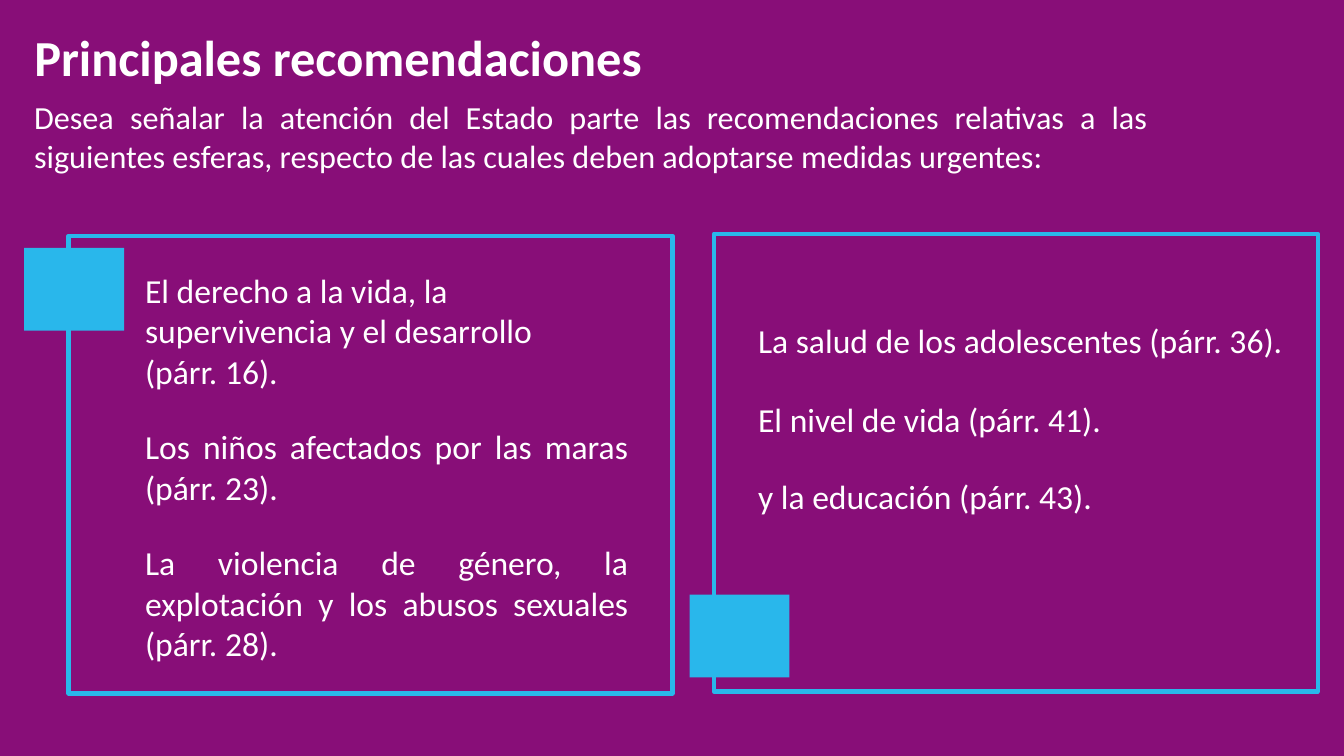
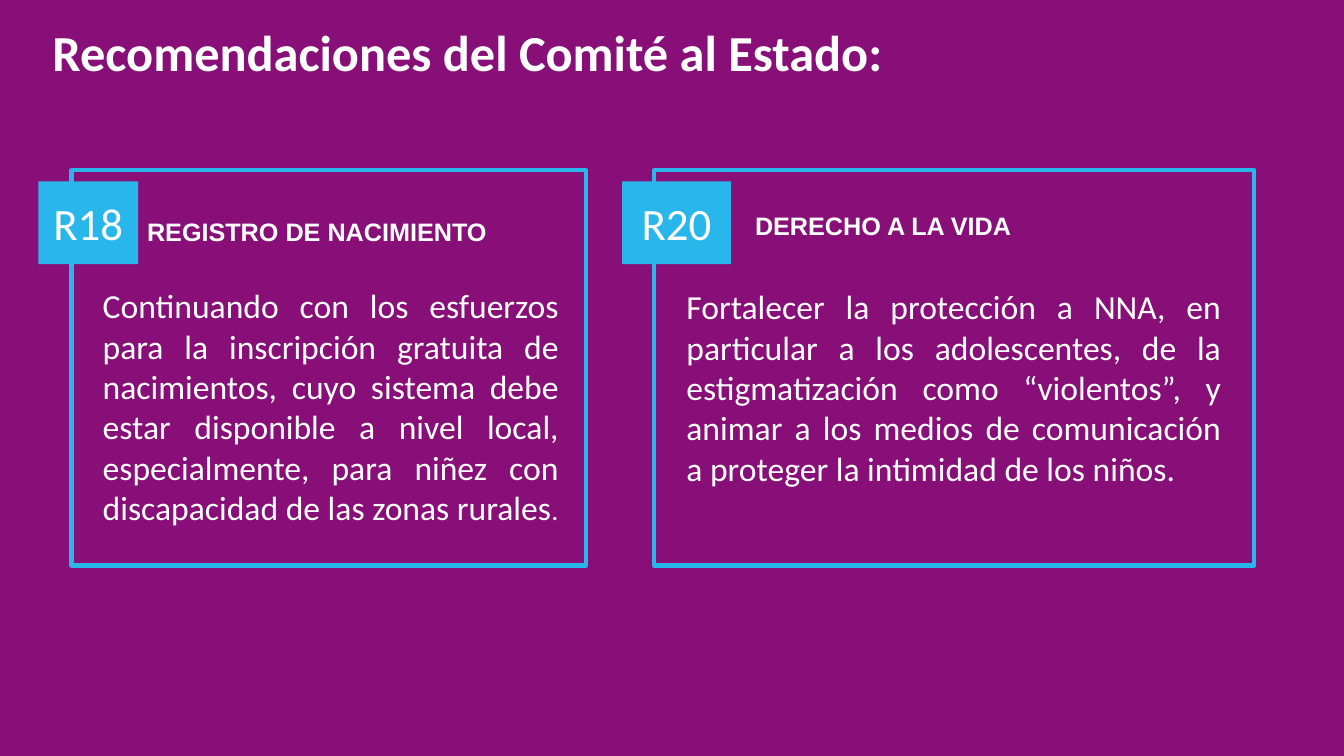
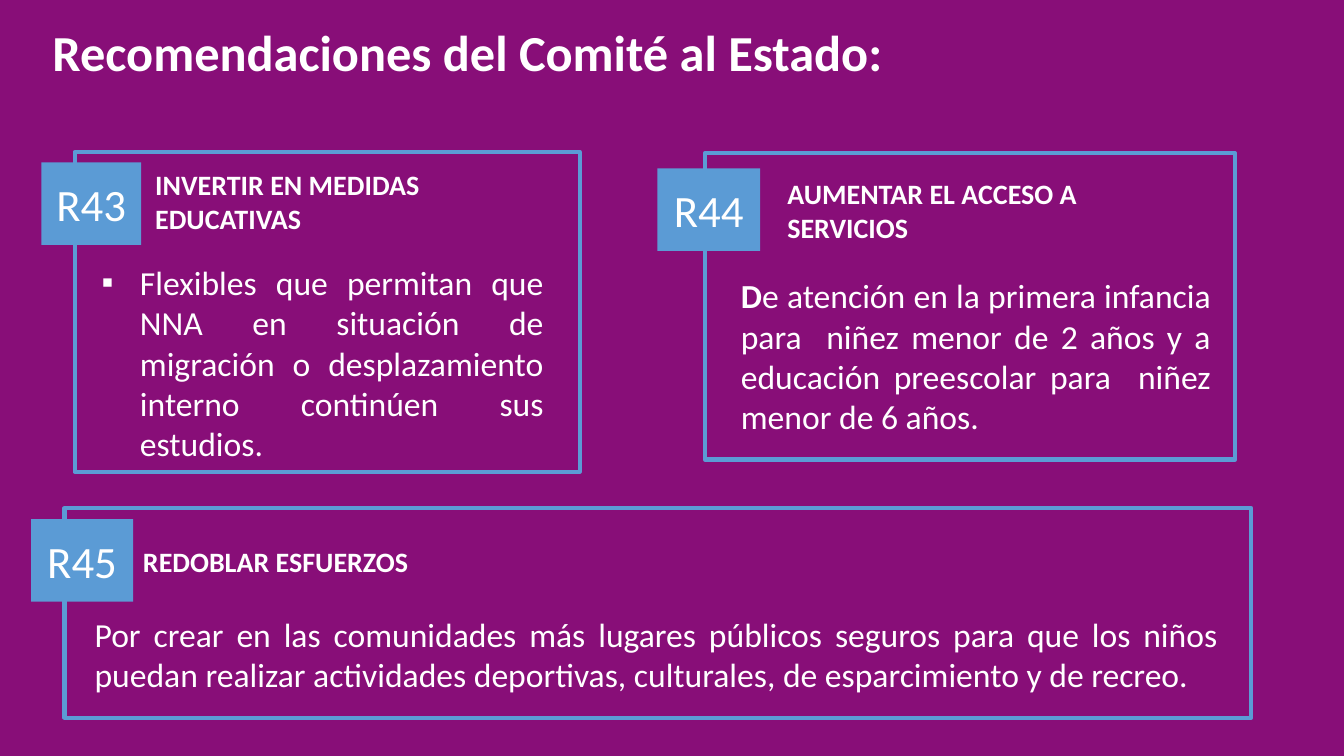
import dataclasses

import pptx
import pptx.dml.color
import pptx.enum.shapes
import pptx.enum.text
import pptx.util
from lxml import etree
from pptx.oxml.ns import qn

Inches = pptx.util.Inches
Align = pptx.enum.text.PP_ALIGN
Anchor = pptx.enum.text.MSO_ANCHOR
RECTANGLE = pptx.enum.shapes.MSO_SHAPE.RECTANGLE


@dataclasses.dataclass(frozen=True)
class Theme:
    background: str = "880E78"
    text: str = "FFFFFF"
    cyan: str = "29B7EB"
    blue: str = "5B9BD5"
    font: str = "Calibri"
    label_font: str = "Arial"
    title: int = 36
    badge: int = 32
    body: int = 24
    intro: int = 23
    heading: int = 20
    label: int = 18
    outline: int = 3
    badge_height: float = 0.82
    bullet_indent: float = 0.38


THEME = Theme()


def color(value):
    return pptx.dml.color.RGBColor.from_string(value)


def add_bullet(para, symbol):
    properties = para._p.get_or_add_pPr()
    indent = Inches(THEME.bullet_indent)
    properties.set("marL", str(indent))
    properties.set("indent", str(-indent))
    etree.SubElement(properties, qn("a:buFont"), typeface=THEME.label_font)
    etree.SubElement(properties, qn("a:buChar"), char=symbol)


def write(frame, text, size=THEME.body, font=THEME.font, bold=False,
          align=Align.LEFT, anchor=Anchor.TOP, bullet=None):
    """Text is a string with one paragraph a line, or a list of (words, format) spans."""
    frame.word_wrap = True
    frame.vertical_anchor = anchor
    paragraphs = [[(line, {})] for line in text.split("\n")] if isinstance(text, str) else [text]
    for number, spans in enumerate(paragraphs):
        para = frame.add_paragraph() if number else frame.paragraphs[0]
        para.alignment = align
        if bullet:
            add_bullet(para, bullet)
        for words, changes in spans:
            span = para.add_run()
            span.text = words
            span.font.name = font
            span.font.size = pptx.util.Pt(changes.get("size", size))
            span.font.bold = changes.get("bold", bold)
            span.font.color.rgb = color(THEME.text)


def add_text(page, text, at, **style):
    box = page.shapes.add_textbox(*map(Inches, at))
    write(box.text_frame, text, **style)


def add_body(page, text, at, **style):
    add_text(page, text, at, align=Align.JUSTIFY, **style)


def add_heading(page, text, at, size=THEME.heading, font=THEME.font):
    add_text(page, text, at, size=size, font=font, bold=True, anchor=Anchor.MIDDLE)


def add_rectangle(page, at):
    box = page.shapes.add_shape(RECTANGLE, *map(Inches, at))
    box.shadow.inherit = False
    return box


def add_panel(page, at, accent):
    panel = add_rectangle(page, at)
    panel.fill.background()
    panel.line.color.rgb = color(accent)
    panel.line.width = pptx.util.Pt(THEME.outline)


def add_badge(page, left, top, accent, text="", width=0.99):
    badge = add_rectangle(page, (left, top, width, THEME.badge_height))
    badge.fill.solid()
    badge.fill.fore_color.rgb = color(accent)
    badge.line.fill.background()
    if text:
        write(badge.text_frame, text, size=THEME.badge, align=Align.CENTER, anchor=Anchor.MIDDLE)


def add_page(deck, title, left, top):
    page = deck.slides.add_slide(deck.slide_layouts.get_by_name("Title Only"))
    box = page.shapes.title
    box.left, box.top, box.width, box.height = map(Inches, (left, top, 10.04, 0.71))
    write(box.text_frame, title, size=THEME.title, bold=True)
    box.text_frame.auto_size = pptx.enum.text.MSO_AUTO_SIZE.NONE
    return page


def add_main_recommendations(deck):
    page = add_page(deck, "Principales recomendaciones", 0.24, 0.21)
    add_body(page, "Desea señalar la atención del Estado parte las recomendaciones relativas a las "
             "siguientes esferas, respecto de las cuales deben adoptarse medidas urgentes:",
             (0.24, 0.92, 11.26, 0.88), size=THEME.intro)
    add_text(page, "El derecho a la vida, la\nsupervivencia y el desarrollo\n(párr. 16).",
             (1.34, 2.63, 5.2, 1.31))
    add_body(page, "Los niños afectados por las maras (párr. 23).", (1.34, 4.18, 4.99, 0.91))
    add_body(page, "La violencia de género, la explotación y los abusos sexuales (párr. 28).",
             (1.34, 5.33, 4.99, 1.31))
    for top, text in ((3.12, "La salud de los adolescentes (párr. 36)."),
                      (3.91, "El nivel de vida (párr. 41)."),
                      (4.67, "y la educación (párr. 43).")):
        add_text(page, text, (7.42, top, 5.52, 0.5))
    for panel_left, panel_top, badge_left, badge_top in ((0.68, 2.34, 0.24, 2.46),
                                                         (7.08, 2.32, 6.84, 5.9)):
        add_panel(page, (panel_left, panel_top, 5.99, 4.54), THEME.cyan)
        add_badge(page, badge_left, badge_top, THEME.cyan)


def add_committee_page(deck):
    return add_page(deck, "Recomendaciones del Comité al Estado:", 0.42, 0.16)


def add_birth_and_life(deck):
    page = add_committee_page(deck)
    label = {"size": THEME.label, "font": THEME.label_font}

    add_panel(page, (0.71, 1.69, 5.1, 3.92), THEME.cyan)
    add_badge(page, 0.38, 1.8, THEME.cyan, "R18")
    add_heading(page, "REGISTRO DE NACIMIENTO", (1.36, 2.1, 4.32, 0.4), **label)
    add_body(page, [("Continuando con los esfuerzos para la inscripción gratuita de nacimientos, "
                     "cuyo sistema debe estar disponible a nivel local, especialmente, para niñez "
                     "con discapacidad de las zonas rurales", {}), (".", {"size": 20})],
             (0.92, 2.78, 4.72, 2.52))

    add_panel(page, (6.49, 1.69, 5.95, 3.92), THEME.cyan)
    add_badge(page, 6.17, 1.8, THEME.cyan, "R20", width=1.08)
    add_heading(page, "DERECHO A LA VIDA", (7.39, 2.04, 3.16, 0.4), **label)
    add_body(page, "Fortalecer la protección a NNA, en particular a los adolescentes, de la "
             "estigmatización como “violentos”, y animar a los medios de comunicación a proteger "
             "la intimidad de los niños.", (6.71, 2.79, 5.5, 2.12))


def add_education_and_spaces(deck):
    page = add_committee_page(deck)

    add_panel(page, (0.74, 1.51, 5.01, 3.17), THEME.blue)
    add_badge(page, 0.41, 1.61, THEME.blue, "R43")
    add_heading(page, "INVERTIR EN MEDIDAS EDUCATIVAS", (1.44, 1.61, 4.12, 0.77))
    add_body(page, "Flexibles que permitan que NNA en situación de migración o desplazamiento "
             "interno continúen sus estudios.", (0.91, 2.55, 4.58, 2.12), bullet="▪")

    add_panel(page, (6.99, 1.52, 5.26, 3.04), THEME.blue)
    add_badge(page, 6.52, 1.67, THEME.blue, "R44", width=1.02)
    add_heading(page, "AUMENTAR EL ACCESO A SERVICIOS", (7.71, 1.7, 4.15, 0.77))
    add_body(page, [("D", {"bold": True}),
                    ("e atención en la primera infancia para  niñez menor de 2 años y a "
                     "educación preescolar para  niñez menor de 6 años.", {})],
             (7.25, 2.68, 4.86, 1.71))

    add_panel(page, (0.64, 5.04, 11.77, 2.08), THEME.blue)
    add_badge(page, 0.31, 5.15, THEME.blue, "R45", width=1.01)
    add_heading(page, "REDOBLAR ESFUERZOS", (1.32, 5.35, 4.27, 0.44))
    add_body(page, "Por crear en las comunidades más lugares públicos seguros para que los niños "
             "puedan realizar actividades deportivas, culturales, de esparcimiento y de recreo.",
             (0.84, 6.04, 11.34, 0.91))


def main():
    deck = pptx.Presentation()
    deck.slide_width, deck.slide_height = Inches(13.33), Inches(7.5)
    backdrop = deck.slide_master.background.fill
    backdrop.solid()
    backdrop.fore_color.rgb = color(THEME.background)
    add_main_recommendations(deck)
    add_birth_and_life(deck)
    add_education_and_spaces(deck)
    deck.save("out.pptx")


if __name__ == "__main__":
    main()
